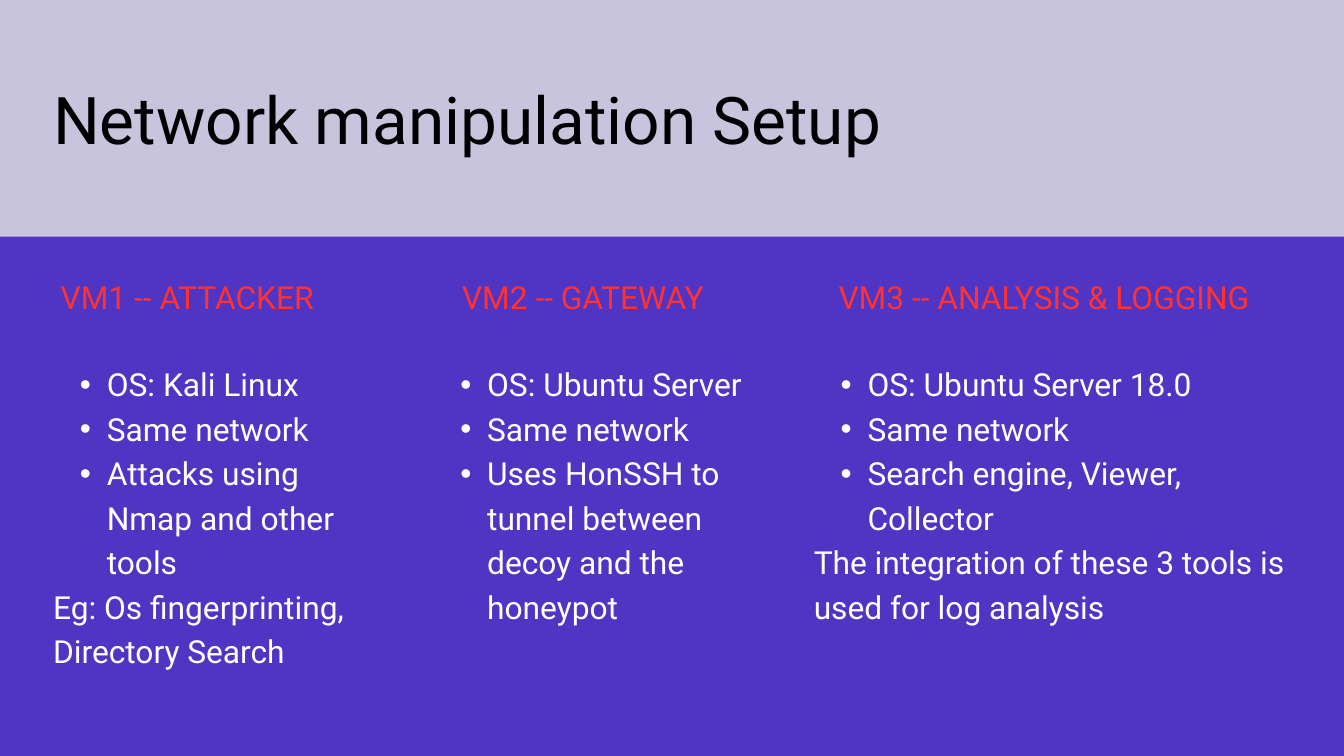
from lxml import etree
from pptx import Presentation
from pptx.dml.color import RGBColor
from pptx.enum import shapes, text
from pptx.oxml import ns
from pptx.util import Pt

BLACK = RGBColor(0x00, 0x00, 0x00)
WHITE = RGBColor(0xFF, 0xFF, 0xFF)
RED = RGBColor(0xFF, 0x31, 0x31)
VIOLET = RGBColor(0x50, 0x34, 0xC4)
LILAC = RGBColor(0xC9, 0xC4, 0xDD)

WIDE, HIGH = 1440, 810
BAND = 253.5
HEAD_TOP, HEAD_HIGH = 290.9, 45.4
LIST_TOP = 384.5
STEP = 47.6
INDENT = 57.6

TITLE = {"size": Pt(70.4), "name": "Roboto", "color": BLACK}
HEADING = {"size": Pt(34), "name": "Roboto", "color": RED}
BODY = {"size": Pt(34), "name": "Roboto", "color": WHITE}

COLUMNS = [
    {"label": "VM1 -- ATTACKER", "head": (54.7, 291.6), "list": (56.9, 349.2),
     "items": ["OS: Kali Linux", "Same network",
               "Attacks using Nmap and other tools"],
     "notes": ["Eg: Os fingerprinting,", "Directory Search"]},
    {"label": "VM2 -- GATEWAY", "head": (483.1, 283), "list": (464.4, 369.4),
     "items": ["OS: Ubuntu Server", "Same network",
               "Uses HonSSH to tunnel between decoy and the honeypot"],
     "notes": []},
    {"label": "VM3 -- ANALYSIS & LOGGING", "head": (877, 483.1),
     "list": (871.9, 505.4),
     "items": ["OS: Ubuntu Server 18.0", "Same network",
               "Search engine, Viewer, Collector"],
     "notes": ["The integration of these 3 tools is used for log analysis"]},
]


def add_panel(slide, box, color):
    panel = slide.shapes.add_shape(
        shapes.MSO_SHAPE.RECTANGLE, *[Pt(n) for n in box])
    panel.shadow.inherit = False
    panel.fill.solid()
    panel.fill.fore_color.rgb = color
    panel.line.fill.background()


def add_frame(slide, box):
    frame = slide.shapes.add_textbox(*[Pt(n) for n in box]).text_frame
    for side in ("left", "top", "right", "bottom"):
        setattr(frame, "margin_" + side, 0)
    frame.word_wrap = True
    return frame


def write_line(para, words, style, step, align=text.PP_ALIGN.LEFT):
    para.alignment = align
    para.line_spacing = Pt(step)
    run = para.add_run()
    run.text = words
    for key, value in style.items():
        if key == "color":
            run.font.color.rgb = value
        else:
            setattr(run.font, key, value)


def add_bullet(para):
    para.level = 1
    props = para._p.get_or_add_pPr()
    props.set("marL", str(Pt(INDENT)))
    props.set("indent", str(-Pt(INDENT / 2)))
    font = etree.SubElement(props, ns.qn("a:buFont"))
    font.set("typeface", "Arial")
    mark = etree.SubElement(props, ns.qn("a:buChar"))
    mark.set("char", "•")


def add_title(slide, box):
    left, top, width, height = box
    add_panel(slide, box, LILAC)
    frame = add_frame(slide, (left + 56.9, top + 84.2, width - 250, 85))
    write_line(frame.paragraphs[0], "Network manipulation Setup", TITLE, 84.5)


def add_column(slide, column):
    left, width = column["head"]
    frame = add_frame(slide, (left, HEAD_TOP, width, HEAD_HIGH))
    write_line(frame.paragraphs[0], column["label"], HEADING, STEP,
               text.PP_ALIGN.CENTER)

    left, width = column["list"]
    frame = add_frame(slide, (left, LIST_TOP, width, 6 * STEP))
    lines = column["items"] + column["notes"]
    for index, words in enumerate(lines):
        para = frame.add_paragraph() if index else frame.paragraphs[0]
        if index < len(column["items"]):
            add_bullet(para)
        write_line(para, words, BODY, STEP)


def main():
    deck = Presentation()
    deck.slide_width, deck.slide_height = Pt(WIDE), Pt(HIGH)
    slide = deck.slides.add_slide(deck.slide_layouts[6])
    add_panel(slide, (0, 0, WIDE, HIGH), VIOLET)
    add_title(slide, (0, 0, WIDE, BAND))
    for column in COLUMNS:
        add_column(slide, column)
    deck.save("out.pptx")


if __name__ == "__main__":
    main()
